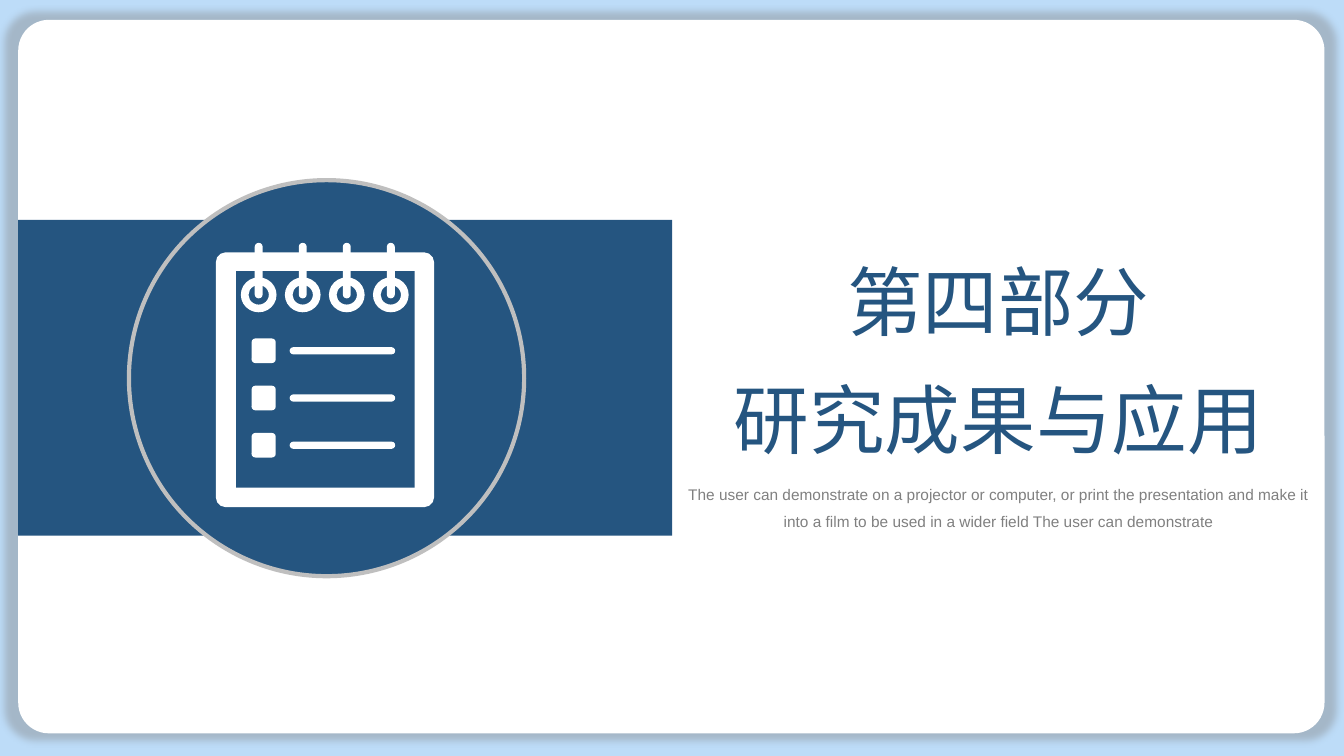
from lxml import etree
from pptx import Presentation
from pptx.dml.color import RGBColor
from pptx.enum.shapes import MSO_SHAPE
from pptx.enum.text import PP_ALIGN
from pptx.oxml.ns import qn
from pptx.util import Cm, Pt

RECT, ROUND = MSO_SHAPE.RECTANGLE, MSO_SHAPE.ROUNDED_RECTANGLE
OVAL, DONUT = MSO_SHAPE.OVAL, MSO_SHAPE.DONUT
CENTER = PP_ALIGN.CENTER

# Content
TITLE = ["第四部分", "研究成果与应用"]
NOTE = ["The user can demonstrate on a projector or computer, or print the "
        "presentation and make it into a film to be used in a wider field "
        "The user can demonstrate"]
COLORS = {"sky": "BDDCF8", "white": "FFFFFF", "navy": "255580",
          "gray": "808080", "rim": "BFBFBF"}
RINGS, ROWS = 4, 3


def rgb(name):
    return RGBColor.from_string(COLORS[name])


def add_form(parent, kind, box, fill, adj=None):
    form = parent.shapes.add_shape(kind, *map(Cm, box))
    form.shadow.inherit = False
    form.fill.solid()
    form.fill.fore_color.rgb = rgb(fill)
    form.line.fill.background()
    if adj is not None:
        form.adjustments[0] = adj
    return form


def add_text(lines, box, font, size, color, space):
    frame = slide.shapes.add_textbox(*map(Cm, box)).text_frame
    frame.word_wrap = True
    for i, line in enumerate(lines):
        para = frame.paragraphs[0] if i == 0 else frame.add_paragraph()
        para.alignment, para.line_spacing = CENTER, space
        run = para.add_run()
        run.text = line
        run.font.name, run.font.size = font, Pt(size)
        run.font.color.rgb = rgb(color)
        east = etree.SubElement(run.font._element, qn("a:ea"))
        east.set("typeface", font)


def add_glow(form, color, alpha, blur, scale):
    effects = form._element.spPr.find(qn("a:effectLst"))
    glow = etree.SubElement(effects, qn("a:outerShdw"), blurRad=str(Pt(blur)),
                            sx=str(scale * 1000), sy=str(scale * 1000),
                            algn="ctr", rotWithShape="0")
    tint = etree.SubElement(glow, qn("a:srgbClr"), val=COLORS[color])
    etree.SubElement(tint, qn("a:alpha"), val=str(alpha * 1000))


deck = Presentation()
deck.slide_width, deck.slide_height = Cm(33.87), Cm(19.05)
slide = deck.slides.add_slide(deck.slide_layouts[6])

# Backdrop, card and band
slide.background.fill.solid()
slide.background.fill.fore_color.rgb = rgb("sky")
card = add_form(slide, ROUND, (0.46, 0.5, 32.92, 17.98), "white", 0.043)
add_glow(card, "gray", 40, 5, 102)
add_form(slide, RECT, (0.46, 5.54, 16.48, 7.96), "navy")

# Heading and note
add_text(TITLE, (16.92, 5.61, 16.48, 5.97), font="Noto Sans CJK JP",
         size=54, color="navy", space=1.3)
add_text(NOTE, (16.94, 11.86, 16.46, 1.57), font="Arial",
         size=11, color="gray", space=1.5)

# Badge with notepad
badge = slide.shapes.add_group_shape()
disc = add_form(badge, OVAL, (3.25, 4.54, 9.96, 9.98), "navy")
disc.line.color.rgb, disc.line.width = rgb("rim"), Pt(3)
add_form(badge, ROUND, (5.44, 6.36, 5.5, 6.42), "white", 0.045)
add_form(badge, RECT, (5.95, 6.83, 4.5, 5.46), "navy")

# Binding: each ring with its pin
for i in range(RINGS):
    mid = 6.52 + i * 1.11
    add_form(badge, DONUT, (mid - 0.45, 6.99, 0.9, 0.88), "white", 0.22)
    add_form(badge, ROUND, (mid - 0.1, 6.12, 0.2, 1.4), "white", 0.5)

# List: each box with its line
for i in range(ROWS):
    mid = 8.84 + i * 1.19
    add_form(badge, ROUND, (6.34, mid - 0.31, 0.61, 0.62), "white", 0.16)
    add_form(badge, ROUND, (7.3, mid - 0.09, 2.66, 0.18), "white", 0.5)

deck.save("out.pptx")
